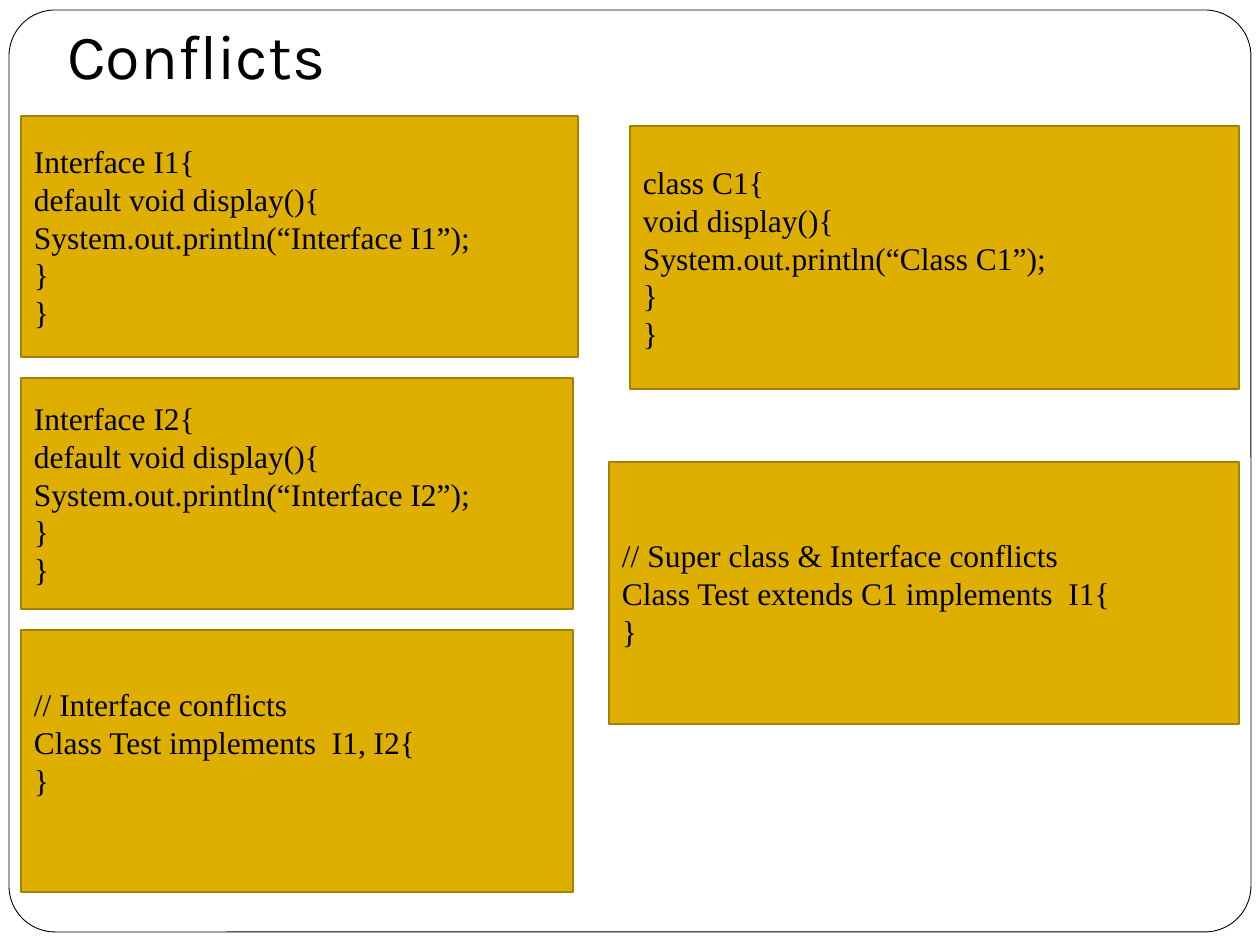
from pptx import Presentation
from pptx.dml.color import RGBColor
from pptx.enum.shapes import MSO_SHAPE
from pptx.enum.text import MSO_ANCHOR, MSO_AUTO_SIZE, PP_ALIGN
from pptx.util import Emu, Pt

SCALE = 914400 / 126


def px(n):
    return Emu(round(n * SCALE))


def color(code):
    return RGBColor.from_string(code)


def write(frame, lines, font, size, ink="000000", anchor=MSO_ANCHOR.MIDDLE,
          inset=(13, 6, 13, 6)):
    """Fill a text frame, one paragraph a line; inset is left, top, right, bottom."""
    frame.word_wrap = True
    frame.auto_size = MSO_AUTO_SIZE.NONE
    frame.vertical_anchor = anchor
    (frame.margin_left, frame.margin_top,
     frame.margin_right, frame.margin_bottom) = map(px, inset)
    for i, line in enumerate(lines):
        para = frame.paragraphs[0] if i == 0 else frame.add_paragraph()
        para.alignment = PP_ALIGN.LEFT
        run = para.add_run()
        run.text = line
        run.font.name = font
        run.font.size = Pt(size)
        run.font.color.rgb = color(ink)


class Deck:
    head = "Karla"
    code = "Times New Roman"
    gold, edge = "DEAE00", "A48100"

    def __init__(self, wide, high):
        self.prs = Presentation()
        self.prs.slide_width, self.prs.slide_height = px(wide), px(high)
        self.slide = self.prs.slides.add_slide(self.prs.slide_layouts[5])

    def shape(self, kind, box, fill, line, width):
        item = self.slide.shapes.add_shape(kind, *map(px, box))
        item.shadow.inherit = False
        item.fill.solid()
        item.fill.fore_color.rgb = color(fill)
        item.line.color.rgb = color(line)
        item.line.width = Pt(width)
        return item

    def frame(self, box):
        item = self.shape(MSO_SHAPE.ROUNDED_RECTANGLE, box, "FFFFFF", "000000", 0.5)
        item.adjustments[0] = 0.05

    def title(self, text, box):
        """Place the title in front of the shapes drawn so far."""
        item = self.slide.shapes.title
        item.left, item.top, item.width, item.height = map(px, box)
        write(item.text_frame, [text], self.head, 36,
              anchor=MSO_ANCHOR.BOTTOM, inset=(13, 6, 13, 13))
        self.slide.shapes._spTree.append(item._element)

    def block(self, lines, box, foot=6):
        """Draw a code panel; a larger foot inset lifts its text."""
        item = self.shape(MSO_SHAPE.RECTANGLE, box, self.gold, self.edge, 1)
        write(item.text_frame, lines, self.code, 18, inset=(13, 6, 13, foot))


def display(opening, method, label):
    return [opening, method, f"System.out.println(“{label}”);", "}", "}"]


def main():
    deck = Deck(1260, 945)
    deck.frame((9, 10, 1242, 922))
    deck.title("Conflicts", (54, 21, 525, 84))
    default = "default void display(){"
    deck.block(display("Interface I1{", default, "Interface I1"), (21, 116, 557, 241))
    deck.block(display("Interface I2{", default, "Interface I2"), (21, 378, 552, 231))
    deck.block(["// Interface conflicts", "Class Test implements  I1, I2{", "}"],
               (21, 630, 552, 262), foot=44)
    deck.block(display("class C1{", "void display(){", "Class C1"), (630, 126, 609, 263))
    deck.block(["// Super class & Interface conflicts",
                "Class Test extends C1 implements  I1{", "}"], (609, 462, 630, 262))
    deck.prs.save("out.pptx")


if __name__ == "__main__":
    main()
